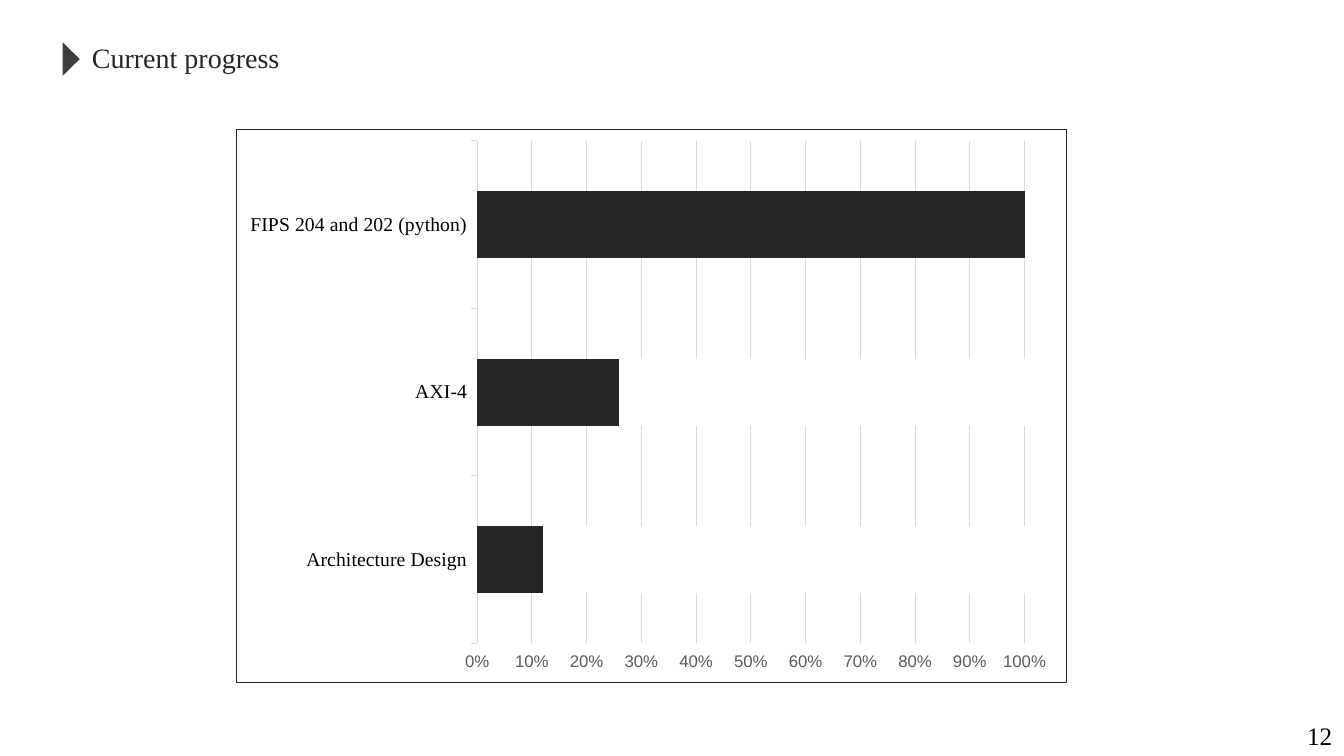
from lxml import etree
from pptx import Presentation
from pptx.chart.data import CategoryChartData
from pptx.dml.color import RGBColor
from pptx.enum.chart import XL_CHART_TYPE, XL_TICK_MARK
from pptx.enum.shapes import MSO_SHAPE
from pptx.enum.text import MSO_ANCHOR, PP_ALIGN
from pptx.oxml import parse_xml
from pptx.oxml.ns import nsdecls, qn
from pptx.util import Cm, Pt

STACKED_BARS = XL_CHART_TYPE.BAR_STACKED_100
TICK_OUTSIDE = XL_TICK_MARK.OUTSIDE
TRIANGLE = MSO_SHAPE.ISOSCELES_TRIANGLE
MIDDLE = MSO_ANCHOR.MIDDLE
LEFT, CENTER = PP_ALIGN.LEFT, PP_ALIGN.CENTER

SERIF, SANS = "Times New Roman", "Arial"
INK, MARKER, GRID, AXIS_TEXT = "262626", "3F3F3F", "D9D9D9", "595959"
BLACK, WHITE = "000000", "FFFFFF"

TASKS = ["Architecture Design", "AXI-4", "FIPS 204 and 202 (python)"]
PROGRESS = [
    ("Series 1", [12, 26, 100], INK),
    ("Series 2", [88, 74, 0], WHITE),
    ("Series 3", [None, None, None], INK),
]
# Inner plot area as fractions of the chart
PLOT_LAYOUT = {"x": 0.29, "y": 0.02, "w": 0.66, "h": 0.91}


def color(hex_value):
    return RGBColor.from_string(hex_value)


def set_font(font, name, size, hex_value):
    font.name, font.size = name, Pt(size)
    font.bold = False
    font.color.rgb = color(hex_value)


def set_line(line, hex_value):
    line.color.rgb = color(hex_value)
    line.width = Pt(0.75)


def write_text(shape, text, size, hex_value, alignment):
    frame = shape.text_frame
    frame.word_wrap = True
    frame.vertical_anchor = MIDDLE
    paragraph = frame.paragraphs[0]
    paragraph.alignment = alignment
    run = paragraph.add_run()
    run.text = text
    set_font(run.font, SERIF, size, hex_value)


def add_heading(slide, left, top, width, height, text):
    # Title
    title = slide.shapes.title
    indent = Cm(0.48)
    title.left, title.top = left + indent, top
    title.width, title.height = width - indent, height
    write_text(title, text, 20, INK, LEFT)

    # Marker: a triangle turned to point right, centred on its own box
    base, depth = Cm(0.84), Cm(0.43)
    center_x = left + depth // 2
    center_y = top + height // 2 + Cm(0.04)
    marker = slide.shapes.add_shape(
        TRIANGLE, center_x - base // 2, center_y - depth // 2, base, depth)
    marker.rotation = 90
    marker.shadow.inherit = False
    marker.fill.solid()
    marker.fill.fore_color.rgb = color(MARKER)
    marker.line.fill.background()


def add_page_number(slide, left, top, width, height, number):
    box = slide.shapes.add_textbox(left, top, width, height)
    write_text(box, number, 18, BLACK, CENTER)


def add_chart_border(chart):
    border = parse_xml(
        f'<c:spPr {nsdecls("c", "a")}><a:noFill/><a:ln w="{Pt(0.75)}">'
        f'<a:solidFill><a:srgbClr val="{INK}"/></a:solidFill></a:ln></c:spPr>')
    chart.element.find(qn("c:chart")).addnext(border)


def place_plot_area(chart):
    plot_area = chart.element.find(qn("c:chart")).find(qn("c:plotArea"))
    for old_layout in plot_area.findall(qn("c:layout")):
        plot_area.remove(old_layout)
    layout = etree.Element(qn("c:layout"))
    manual = etree.SubElement(layout, qn("c:manualLayout"))
    settings = {"layoutTarget": "inner", "xMode": "edge", "yMode": "edge", **PLOT_LAYOUT}
    for name, value in settings.items():
        etree.SubElement(manual, qn(f"c:{name}")).set("val", str(value))
    plot_area.insert(0, layout)


def add_progress_chart(slide, left, top, width, height):
    data = CategoryChartData()
    data.categories = TASKS
    for name, values, _ in PROGRESS:
        data.add_series(name, values)
    chart = slide.shapes.add_chart(STACKED_BARS, left, top, width, height, data).chart
    chart.has_title = False
    chart.has_legend = False
    set_font(chart.font, SANS, 10, BLACK)

    # Bars
    plot = chart.plots[0]
    plot.vary_by_categories = False
    plot.gap_width, plot.overlap = 150, 100
    for series, (_, _, fill) in zip(plot.series, PROGRESS):
        series.format.fill.solid()
        series.format.fill.fore_color.rgb = color(fill)
        series.format.line.fill.background()

    # Axes
    tasks, share = chart.category_axis, chart.value_axis
    tasks.major_tick_mark = share.major_tick_mark = TICK_OUTSIDE
    set_font(tasks.tick_labels.font, SERIF, 14, BLACK)
    set_line(tasks.format.line, GRID)
    set_font(share.tick_labels.font, SANS, 12, AXIS_TEXT)
    share.tick_labels.number_format = "0%"
    share.tick_labels.number_format_is_linked = False
    share.format.line.fill.background()
    share.has_major_gridlines = True
    set_line(share.major_gridlines.format.line, GRID)

    add_chart_border(chart)
    place_plot_area(chart)


def main():
    presentation = Presentation()
    presentation.slide_width, presentation.slide_height = Cm(33.87), Cm(19.05)
    slide = presentation.slides.add_slide(presentation.slide_layouts[5])
    add_heading(slide, Cm(1.58), Cm(0.89), Cm(12), Cm(1.12), "Current progress")
    add_progress_chart(slide, Cm(5.95), Cm(3.26), Cm(20.93), Cm(13.94))
    add_page_number(slide, Cm(32.66), Cm(18.03), Cm(1.2), Cm(1.02), "12")
    presentation.save("out.pptx")


if __name__ == "__main__":
    main()
